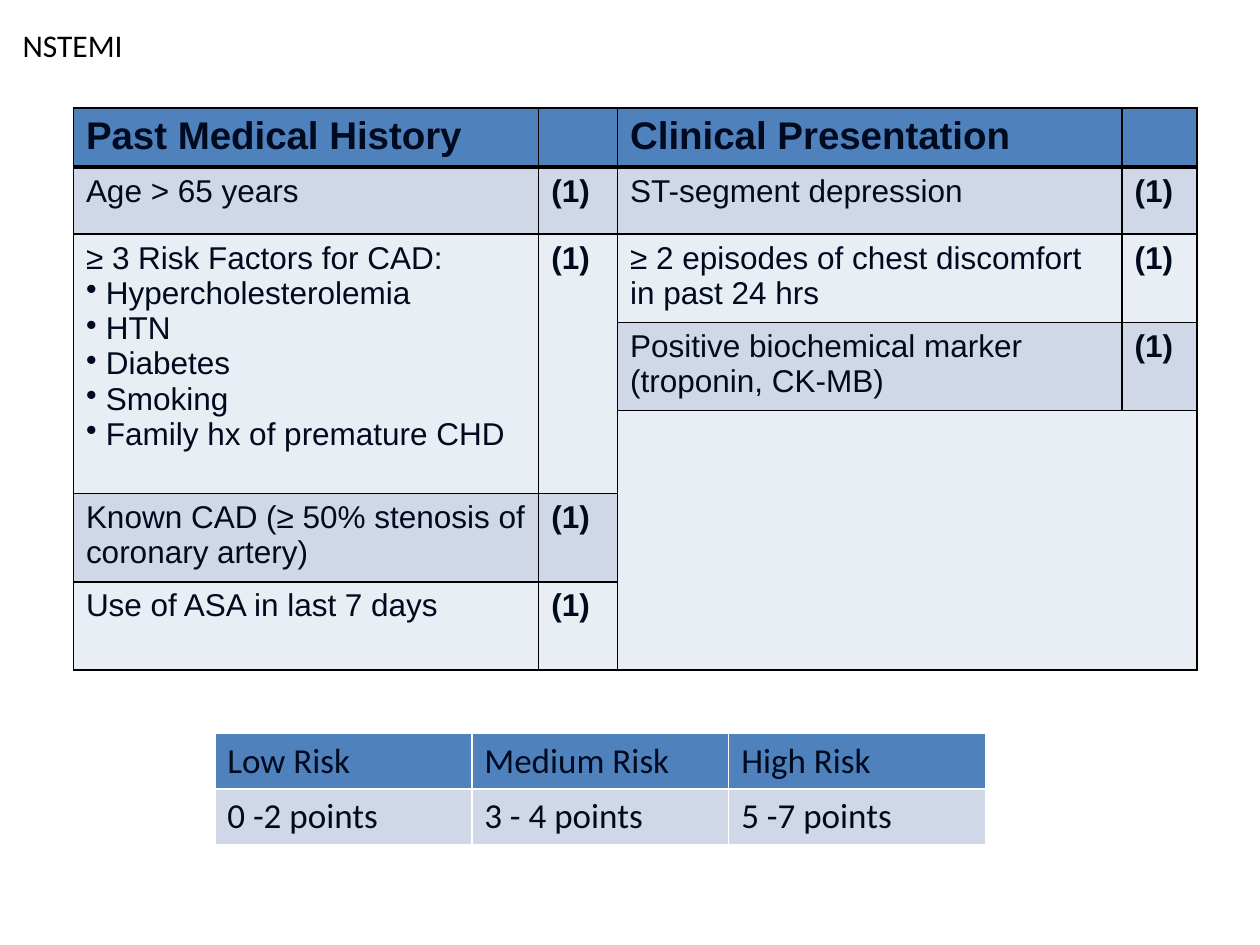
"""Build a slide with the NSTEMI risk score and its risk bands."""
from lxml import etree
from pptx import Presentation
from pptx.dml.color import RGBColor
from pptx.enum.text import MSO_ANCHOR, MSO_AUTO_SIZE, PP_ALIGN
from pptx.oxml.ns import qn
from pptx.util import Cm, Pt

LEFT, TOP, NO_FIT = PP_ALIGN.LEFT, MSO_ANCHOR.TOP, MSO_AUTO_SIZE.NONE
BLACK = RGBColor(0x00, 0x00, 0x00)
WHITE = RGBColor(0xFF, 0xFF, 0xFF)
NAVY = RGBColor(0x00, 0x0A, 0x1E)
BLUE = RGBColor(0x4F, 0x81, 0xBD)
MID = RGBColor(0xD0, 0xD8, 0xE8)
PALE = RGBColor(0xE9, 0xED, 0xF4)

HEADING = {"size": Pt(22), "name": "Arial", "bold": True}
BODY = {"size": Pt(18), "name": "Arial", "bold": False}
POINT = {**BODY, "bold": True}
BAND = {"size": Pt(20), "name": "Calibri", "bold": False}

RISK_FACTORS = [
    "≥ 3 Risk Factors for CAD:",
    "• Hypercholesterolemia",
    "• HTN",
    "• Diabetes",
    "• Smoking",
    "• Family hx of premature CHD",
]
SCORE_ROWS = [
    ["Past Medical History", "", "Clinical Presentation", ""],
    ["Age > 65 years", "(1)", "ST-segment depression", "(1)"],
    [RISK_FACTORS, "(1)", "≥ 2 episodes of chest discomfort in past 24 hrs", "(1)"],
    ["", "", "Positive biochemical marker (troponin, CK-MB)", "(1)"],
    ["", "", "", ""],
    ["Known CAD (≥ 50% stenosis of coronary artery)", "(1)", "", ""],
    ["Use of ASA in last 7 days", "(1)", "", ""],
]
SCORE_FILLS = [
    [BLUE] * 4,
    [MID] * 4,
    [PALE] * 4,
    [PALE, PALE, MID, MID],
    [PALE] * 4,
    [MID, MID, PALE, PALE],
    [PALE] * 4,
]
SCORE_FONTS = [[HEADING] * 4] + [[BODY, POINT, BODY, POINT]] * 6
SCORE_MERGES = [((2, 0), (4, 0)), ((2, 1), (4, 1)), ((4, 2), (6, 3))]
SCORE_WIDTHS = [9.38, 1.59, 10.17, 1.51]
SCORE_HEIGHTS = [1.19, 1.35, 1.78, 1.78, 1.67, 1.78, 1.78]

BAND_ROWS = [
    ["Low Risk", "Medium Risk", "High Risk"],
    ["0 -2 points", "3 - 4 points", "5 -7 points"],
]
BAND_FILLS = [[BLUE] * 3, [MID] * 3]
BAND_FONTS = [[BAND] * 3] * 2


def format_font(font, formats, color):
    for name, value in formats.items():
        setattr(font, name, value)
    font.color.rgb = color


def add_bullet(para):
    properties = para._p.get_or_add_pPr()
    properties.set("marL", str(Cm(0.4)))
    properties.set("indent", str(-Cm(0.4)))
    etree.SubElement(properties, qn("a:buChar"), char="•")


def write_cell(cell, content, formats):
    lines = [content] if isinstance(content, str) else content
    frame = cell.text_frame
    for index, line in enumerate(lines):
        para = frame.add_paragraph() if index else frame.paragraphs[0]
        if line.startswith("•"):
            add_bullet(para)
        if line:
            span = para.add_run()
            span.text = line.removeprefix("• ")
            format_font(span.font, formats, NAVY)


def add_border(cell, side, color, width):
    properties = cell._tc.get_or_add_tcPr()
    line = etree.SubElement(properties, qn(f"a:ln{side}"), w=str(Pt(width)))
    fill = etree.SubElement(line, qn("a:solidFill"))
    etree.SubElement(fill, qn("a:srgbClr"), val=str(color))


def add_grid(page, corner, widths, heights, rows, fills, fonts, color, rule, merges=()):
    left, top = corner
    grid = page.shapes.add_table(
        len(rows), len(widths), Cm(left), Cm(top), Cm(sum(widths)), Cm(sum(heights))
    ).table
    grid.first_row = grid.horz_banding = False
    for column, width in zip(grid.columns, widths):
        column.width = Cm(width)
    for row, height in zip(grid.rows, heights):
        row.height = Cm(height)
    for r, contents in enumerate(rows):
        for c, content in enumerate(contents):
            cell = grid.cell(r, c)
            write_cell(cell, content, fonts[r][c])
            line_widths = {"L": 1, "R": 1, "T": rule if r == 1 else 1, "B": rule if r == 0 else 1}
            for side, width in line_widths.items():
                add_border(cell, side, color, width)
            cell.fill.solid()
            cell.fill.fore_color.rgb = fills[r][c]
    for first, last in merges:
        grid.cell(*first).merge(grid.cell(*last))


def add_title(page, text):
    title = page.shapes.title
    title.left, title.top, title.width, title.height = Cm(0.2), Cm(0.4), Cm(2.57), Cm(1.03)
    frame = title.text_frame
    frame.text = text
    settings = {"word_wrap": False, "auto_size": NO_FIT, "vertical_anchor": TOP}
    for name, value in settings.items():
        setattr(frame, name, value)
    para = frame.paragraphs[0]
    para.alignment = LEFT
    format_font(para.runs[0].font, {"size": Pt(18), "name": "Calibri"}, BLACK)


def main():
    deck = Presentation()
    deck.slide_width, deck.slide_height = Cm(25.4), Cm(19.05)
    page = deck.slides.add_slide(deck.slide_layouts[5])
    add_title(page, "NSTEMI")
    add_grid(page, (1.48, 2.18), SCORE_WIDTHS, SCORE_HEIGHTS, SCORE_ROWS,
             SCORE_FILLS, SCORE_FONTS, BLACK, 3, SCORE_MERGES)
    add_grid(page, (4.33, 14.79), [5.18] * 3, [1.1] * 2, BAND_ROWS,
             BAND_FILLS, BAND_FONTS, WHITE, 1)
    deck.save("out.pptx")


if __name__ == "__main__":
    main()
